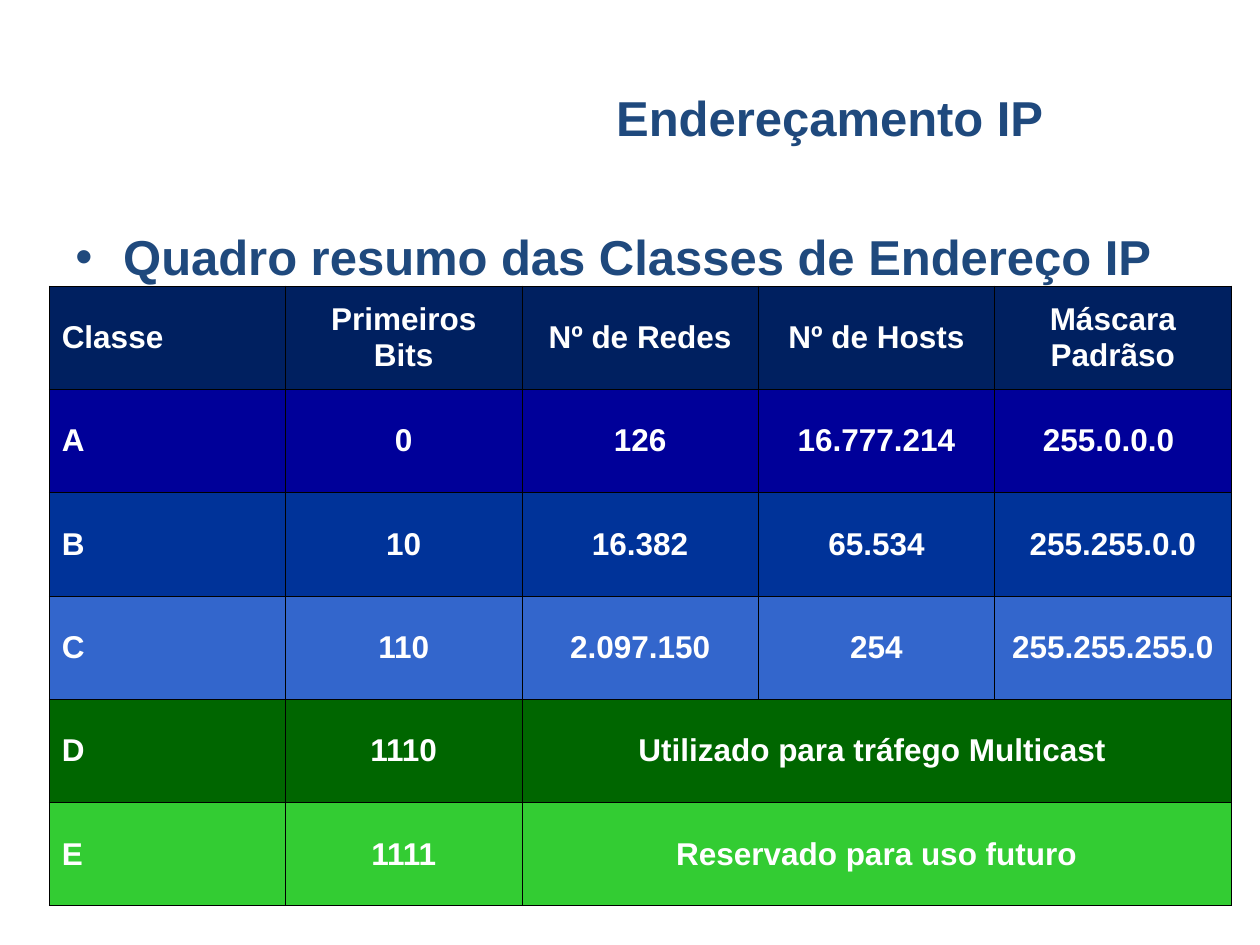
from lxml.etree import SubElement
from pptx import Presentation
from pptx.dml.color import RGBColor
from pptx.enum.text import MSO_ANCHOR, PP_ALIGN
from pptx.oxml.ns import qn
from pptx.util import Inches, Pt

COLORS = {
    "title": "1F497D", "text": "FFFFFF", "border": "000000",
    "header": "002060", "A": "000099", "B": "003399",
    "C": "3366CC", "D": "006600", "E": "33CC33",
}


def write(tf, text, size=18, color="text", align=PP_ALIGN.CENTER):
    """Fill a text frame with one bold paragraph and return it."""
    tf.word_wrap = True
    p = tf.paragraphs[0]
    p.alignment = align
    r = p.add_run()
    r.text = text
    r.font.name = "Arial"
    r.font.size = Pt(size)
    r.font.bold = True
    r.font.color.rgb = RGBColor.from_string(COLORS[color])
    return p


def add_borders(cell, width=0.45):
    """Draw a thin solid line on all four sides of a cell."""
    tcPr = cell._tc.get_or_add_tcPr()
    for side in ("a:lnL", "a:lnR", "a:lnT", "a:lnB"):
        ln = SubElement(tcPr, qn(side), w=str(int(Pt(width))))
        fill = SubElement(ln, qn("a:solidFill"))
        SubElement(fill, qn("a:srgbClr"), val=COLORS["border"])


prs = Presentation()
prs.slide_width, prs.slide_height = Inches(10), Inches(7.5)
s = prs.slides.add_slide(prs.slide_layouts[6])

# Title
sp = s.shapes.add_textbox(Inches(3.67), Inches(0.3), Inches(5.83), Inches(1.25))
sp.text_frame.vertical_anchor = MSO_ANCHOR.MIDDLE
write(sp.text_frame, "Endereçamento IP", size=28, color="title")

# Bulleted heading
sp = s.shapes.add_textbox(Inches(0.5), Inches(1.75), Inches(9), Inches(0.75))
p = write(sp.text_frame, "Quadro resumo das Classes de Endereço IP",
          size=28, color="title", align=PP_ALIGN.JUSTIFY)
p.space_before = Pt(7)
pPr = p._p.get_or_add_pPr()
pPr.set("marL", str(Inches(0.38)))
pPr.set("indent", str(-Inches(0.38)))
buClr = SubElement(pPr, qn("a:buClr"))
SubElement(buClr, qn("a:srgbClr"), val=COLORS["title"])
SubElement(pPr, qn("a:buFont"), typeface="Arial")
SubElement(pPr, qn("a:buChar"), char="•")

# Address class table: a short row spans its last text to the right edge
rows = [
    ("header", ["Classe", "Primeiros Bits", "Nº de Redes", "Nº de Hosts", "Máscara Padrãso"]),
    ("A", ["A", "0", "126", "16.777.214", "255.0.0.0 "]),
    ("B", ["B", "10", "16.382", "65.534", "255.255.0.0"]),
    ("C", ["C", "110", "2.097.150", "254", "255.255.255.0"]),
    ("D", ["D", "1110", "Utilizado para tráfego Multicast "]),
    ("E", ["E", "1111", "Reservado para uso futuro"]),
]
n_cols = len(rows[0][1])
tbl = s.shapes.add_table(len(rows), n_cols, Inches(0.39), Inches(2.27),
                         Inches(9.38), Inches(4.92)).table

for i, (name, texts) in enumerate(rows):
    for cell in tbl.rows[i].cells:
        add_borders(cell)
        cell.fill.solid()
        cell.fill.fore_color.rgb = RGBColor.from_string(COLORS[name])
        cell.vertical_anchor = MSO_ANCHOR.MIDDLE
    if len(texts) < n_cols:
        tbl.cell(i, len(texts) - 1).merge(tbl.cell(i, n_cols - 1))
    for j, text in enumerate(texts):
        write(tbl.cell(i, j).text_frame, text,
              align=PP_ALIGN.CENTER if j else PP_ALIGN.LEFT)

prs.save("out.pptx")
